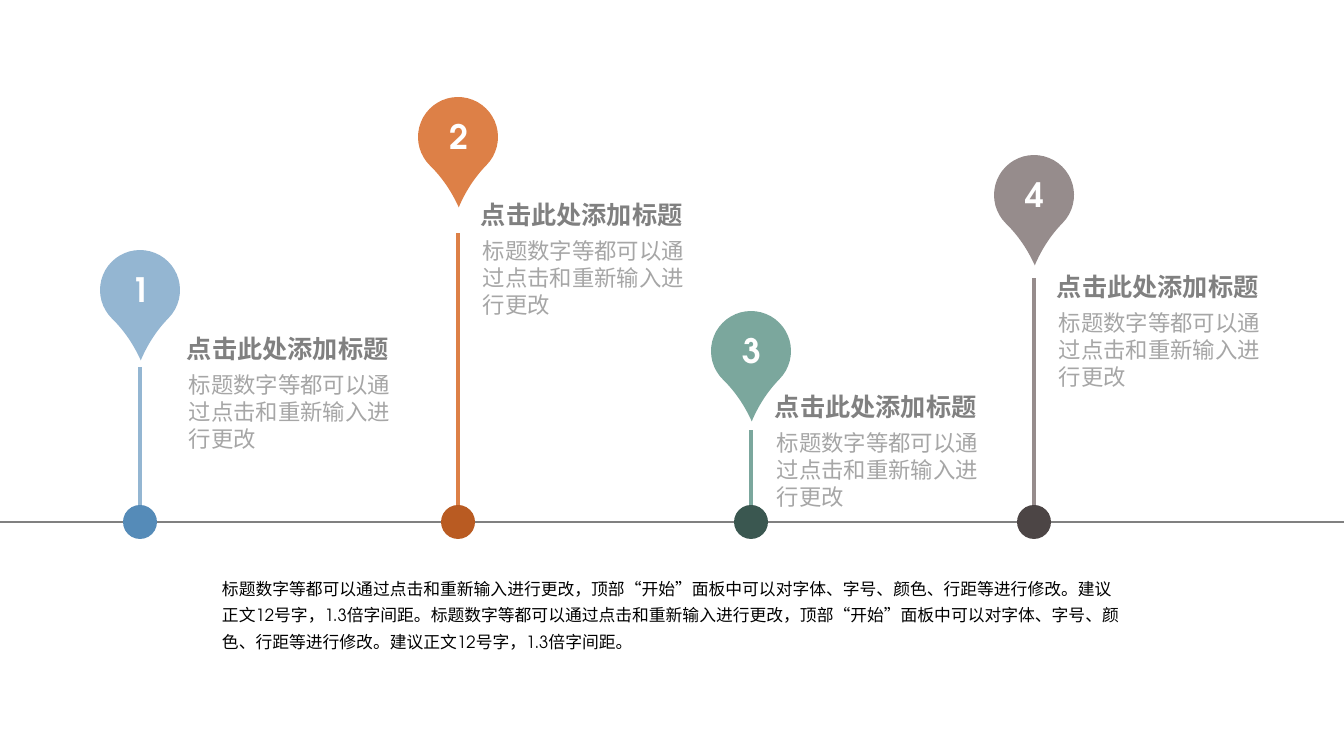
"""Build a timeline slide with four numbered pins."""
from pptx import Presentation
from pptx import util as u
from pptx.dml.color import RGBColor
from pptx.enum import shapes, text
from pptx.oxml.ns import qn
from lxml import etree

PX = 914400 / 100.8
ADVENTOR = "TeX Gyre Adventor"
TITLE = "点击此处添加标题"
BODY = "标题数字等都可以通过点击和重新输入进行更改"
NOTE = BODY + "，顶部“开始”面板中可以对字体、字号、颜色、行距等进行修改。建议正文12号字，1.3倍字间距。"
DOT, PIN, AXIS = 34, 80, 522
STYLES = {
    "number": {"size": u.Pt(24), "name": ADVENTOR, "bold": True, "color": "FFFFFF"},
    "title": {"size": u.Pt(18), "name": "Open Sans", "bold": True, "color": "808080"},
    "body": {"size": u.Pt(16), "name": ADVENTOR, "bold": False, "color": "A6A6A6"},
    "note": {"size": u.Pt(12), "name": ADVENTOR, "bold": False, "color": "000000"},
}
MILESTONES = [
    (140, 250, 182, 367, 367, "94B6D2", "558BB8"),
    (458, 97, 476, 233, 233, "DD8047", "B95B22"),
    (751, 311, 770, 425, 430, "7BA79D", "3A5750"),
    (1034, 155, 1052, 305, 278, "968C8C", "4C4545"),
]


def rgb(value):
    return RGBColor.from_string(value)


def add_text(parent, box, words, style, wrap=True, inset=(7, 4)):
    tf = parent.add_textbox(*[round(v * PX) for v in box]).text_frame
    tf.word_wrap = wrap
    tf.auto_size = text.MSO_AUTO_SIZE.SHAPE_TO_FIT_TEXT
    tf.margin_left = tf.margin_right = round(inset[0] * PX)
    tf.margin_top = tf.margin_bottom = round(inset[1] * PX)
    p = tf.paragraphs[0]
    r = p.add_run()
    r.text = words
    for key, value in STYLES[style].items():
        if key == "color":
            r.font.color.rgb = rgb(value)
        else:
            setattr(r.font, key, value)
    return p


prs = Presentation()
prs.slide_width, prs.slide_height = round(1344 * PX), round(756 * PX)
s = prs.slides.add_slide(prs.slide_layouts[6])

axis = s.shapes.add_connector(
    shapes.MSO_CONNECTOR.STRAIGHT, 0, round(AXIS * PX), prs.slide_width, round(AXIS * PX))
lines = [(axis, "808080", 1)]

for number, (x, pin_y, text_x, text_y, stem_y, light, dark) in enumerate(MILESTONES, 1):
    dot = s.shapes.add_shape(
        shapes.MSO_SHAPE.OVAL, round((x - DOT / 2) * PX), round((AXIS - DOT / 2) * PX),
        round(DOT * PX), round(DOT * PX))
    marker = s.shapes.add_group_shape()
    pin_x = x - PIN // 2
    pin = marker.shapes.add_shape(
        shapes.MSO_SHAPE.TEAR, round(pin_x * PX), round(pin_y * PX),
        round(PIN * PX), round(PIN * PX))
    pin.adjustments[0] = 1.243
    pin.rotation = 134.4
    for sp, color in ((dot, dark), (pin, light)):
        sp.fill.solid()
        sp.fill.fore_color.rgb = rgb(color)
        sp.line.fill.background()
        sp.shadow.inherit = False
    p = add_text(marker.shapes, (pin_x, pin_y + 14, 82, 50), str(number), "number",
                 inset=(10, 5))
    p.alignment = text.PP_ALIGN.CENTER
    add_text(s.shapes, (text_x, text_y, 217, 89), BODY, "body")
    add_text(s.shapes, (text_x - 2, text_y - 38, 219, 38), TITLE, "title", wrap=False)
    stem = s.shapes.add_connector(
        shapes.MSO_CONNECTOR.STRAIGHT, round(x * PX), round((AXIS - DOT / 2) * PX),
        round(x * PX), round(stem_y * PX))
    stem.begin_connect(dot, 0)
    lines.append((stem, light, 3))

for line, color, width in lines:
    line.line.color.rgb = rgb(color)
    line.line.width = u.Pt(width)
    etree.SubElement(line._element.spPr, qn("a:effectLst"))

p = add_text(s.shapes, (215, 569, 914, 85), NOTE * 2, "note")
p.line_spacing = 1.3

prs.save("out.pptx")
